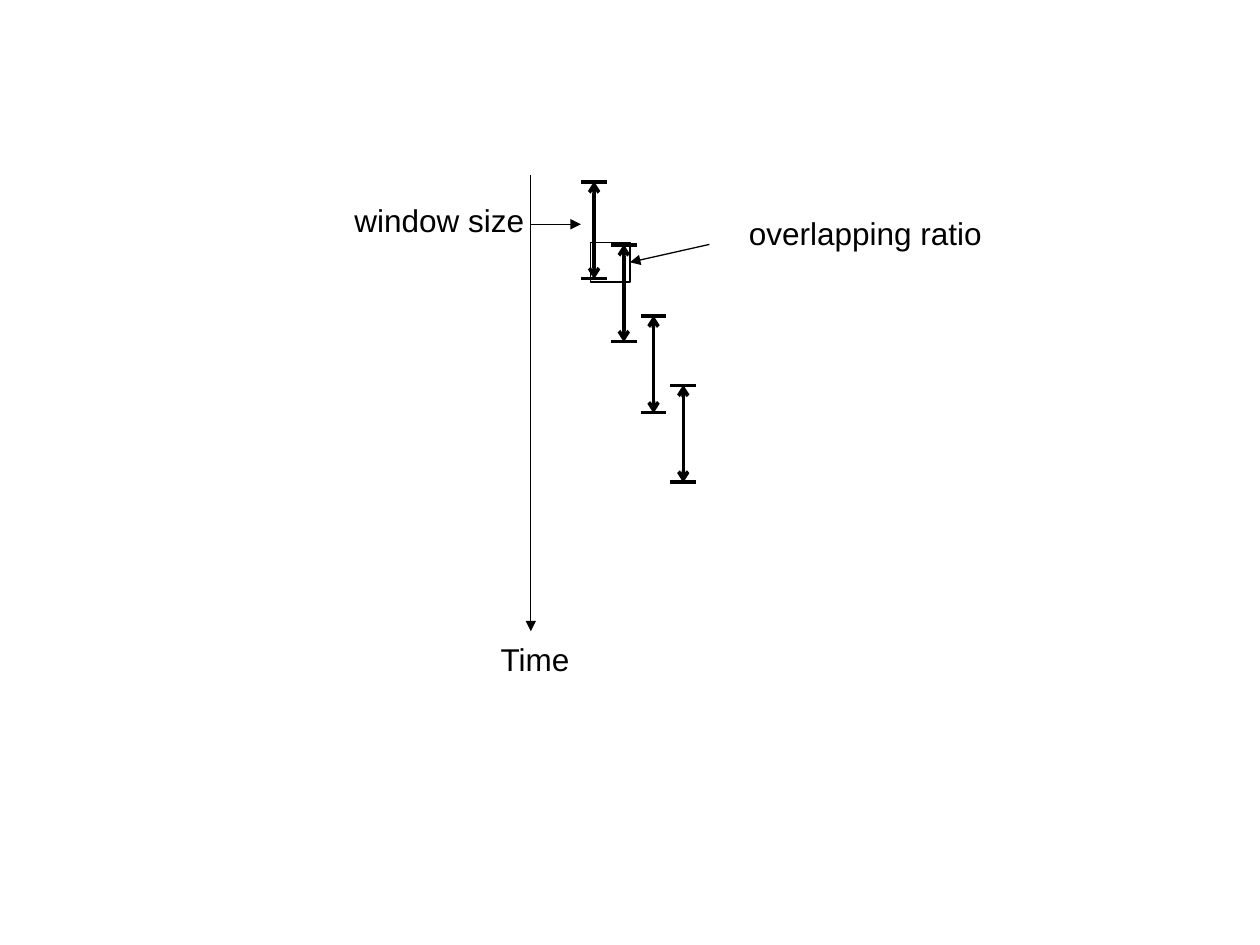
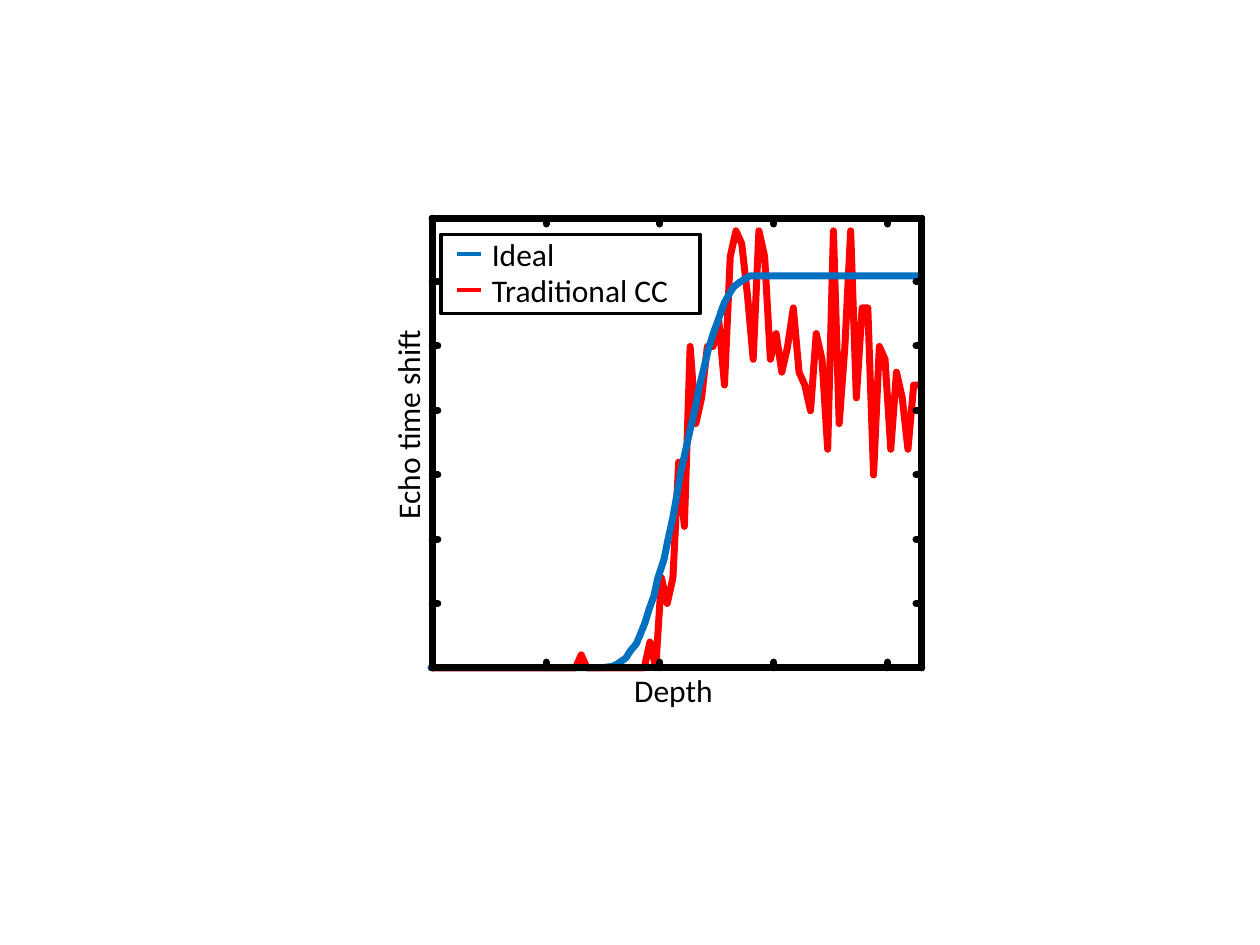
from dataclasses import dataclass

from lxml import etree
from pptx import Presentation
from pptx.dml.color import RGBColor
from pptx.enum.shapes import MSO_CONNECTOR, MSO_SHAPE
from pptx.enum.text import MSO_AUTO_SIZE
from pptx.oxml.ns import qn
from pptx.util import Inches, Pt

STRAIGHT = MSO_CONNECTOR.STRAIGHT
RECTANGLE = MSO_SHAPE.RECTANGLE
FIT_SHAPE = MSO_AUTO_SIZE.SHAPE_TO_FIT_TEXT
RIGHT_SIDE = 3

SLIDE_WIDTH, SLIDE_HEIGHT = Inches(10), Inches(7.5)
COLUMNS, ROWS = 100, 75


@dataclass(frozen=True)
class Theme:
    """Colours, fonts, type size and line widths of both slides."""
    ink: RGBColor = RGBColor(0, 0, 0)
    ideal: RGBColor = RGBColor(0x00, 0x70, 0xC0)
    traditional: RGBColor = RGBColor(0xFF, 0, 0)
    diagram_font: str = "Arial"
    plot_font: str = "Calibri"
    text_size: float = 18
    thin: float = 0.75
    medium: float = 2
    thick: float = 4


THEME = Theme()

WINDOW_TOPS = [14.4, 19.4, 25.05, 30.55]
WINDOW_LEFT, WINDOW_STEP, WINDOW_HEIGHT, CAP_HALF = 47.15, 2.36, 7.75, 1.02

PLOT_LEFT, PLOT_RIGHT, PLOT_TOP, PLOT_BOTTOM = 34.3, 73.15, 17.33, 53
DEPTH_TICK_STEP, SHIFT_TICK_STEP, TICK_LENGTH = 9.04, 5.11, 0.45
SAMPLE_STEP, SHIFT_LEVEL = 0.455, 1.02

TRADITIONAL_LEVELS = [0] * 26 + [1] + [0] * 11 + [
    2, 0, 7, 5, 7, 16, 11, 25, 19, 21, 25, 25, 27, 22, 32, 34,
    33, 29, 24, 34, 32, 24, 26, 23, 25, 28, 23, 22, 20, 26, 24, 17,
    34, 19, 25, 34, 21, 28, 28, 15, 25, 24, 17, 23, 21, 17, 22, 22]
IDEAL_RISE = [
    (34.2, 53), (47.7, 53), (48.6, 52.9), (49, 52.7), (49.3, 52.5),
    (49.7, 52.2), (50, 51.7), (50.5, 51.1), (50.8, 50.4), (51.2, 49.4),
    (51.5, 48.4), (51.9, 47.3), (52.2, 45.9), (52.7, 44.4), (53, 42.9),
    (53.4, 41.1), (53.7, 39.4), (54, 37.6), (54.4, 35.8), (54.8, 34),
    (55.2, 32.3), (55.5, 30.7), (55.9, 29.1), (56.2, 27.8), (56.6, 26.5),
    (57, 25.4), (57.4, 24.3)]
IDEAL_PLATEAU = [
    (57.2, 24.8), (57.5, 24), (57.9, 23.3), (58.2, 22.8), (58.7, 22.4),
    (59, 22.2), (59.5, 21.9), (73.1, 21.9)]


def col(count):
    """Return a horizontal length in grid columns."""
    return round(SLIDE_WIDTH * count / COLUMNS)


def row(count):
    """Return a vertical length in grid rows."""
    return round(SLIDE_HEIGHT * count / ROWS)


def style_line(shape, color, width, head=None, tail=None, cap="flat"):
    """Give an outline its colour, width, cap and arrowheads."""
    shape.line.color.rgb = color
    shape.line.width = Pt(width)
    outline = shape._element.spPr.find(qn("a:ln"))
    outline.set("cap", cap)
    if cap == "rnd":
        etree.SubElement(outline, qn("a:round"))
    for tag, kind in (("a:headEnd", head), ("a:tailEnd", tail)):
        if kind:
            etree.SubElement(outline, qn(tag), type=kind)


def add_line(shapes, start, end, color=THEME.ink, width=THEME.thin, **ends):
    """Draw a straight line between two grid points."""
    line = shapes.add_connector(STRAIGHT, col(start[0]), row(start[1]),
                                col(end[0]), row(end[1]))
    style_line(line, color, width, **ends)
    etree.SubElement(line._element.spPr, qn("a:effectLst"))
    return line


def add_frame(shapes, left, top, width, height, line_width):
    """Draw an unfilled rectangle."""
    frame = shapes.add_shape(RECTANGLE, col(left), row(top),
                             col(width), row(height))
    frame.shadow.inherit = False
    frame.fill.background()
    style_line(frame, THEME.ink, line_width)
    return frame


def add_curve(shapes, points, color):
    """Draw an open curve through grid points."""
    corners = [(col(x), row(y)) for x, y in points]
    builder = shapes.build_freeform(*corners[0])
    builder.add_line_segments(corners[1:], close=False)
    curve = builder.convert_to_shape()
    curve.shadow.inherit = False
    curve.fill.background()
    style_line(curve, color, THEME.thick, cap="rnd")


def add_label(shapes, text, left, top, width, font, rotation=0):
    """Place a one-line label."""
    label = shapes.add_textbox(col(left), row(top), col(width), row(4))
    label.rotation = rotation
    label.text_frame.word_wrap = False
    label.text_frame.auto_size = FIT_SHAPE
    run = label.text_frame.paragraphs[0].add_run()
    run.text = text
    run.font.name = font
    run.font.size = Pt(THEME.text_size)
    run.font.color.rgb = THEME.ink


def add_window(shapes, x, top):
    """Draw one time window as a capped double arrow."""
    window = shapes.add_group_shape().shapes
    bottom = top + WINDOW_HEIGHT
    add_line(window, (x, top), (x, bottom), width=THEME.medium,
             head="arrow", tail="arrow")
    for y in (top + 0.05, bottom - 0.05):
        add_line(window, (x - CAP_HALF, y), (x + CAP_HALF, y),
                 width=THEME.medium)


def add_axes(shapes):
    """Draw the plot box with ticks on all four sides."""
    depth_ticks = [PLOT_LEFT + DEPTH_TICK_STEP * i for i in range(5)]
    for x in depth_ticks + [PLOT_RIGHT]:
        for y, inward in ((PLOT_BOTTOM, -TICK_LENGTH), (PLOT_TOP, TICK_LENGTH)):
            add_line(shapes, (x, y), (x, y + inward), width=THEME.thick, cap="rnd")
    for y in [PLOT_BOTTOM - SHIFT_TICK_STEP * i for i in range(7)] + [PLOT_TOP]:
        for x, inward in ((PLOT_LEFT, TICK_LENGTH), (PLOT_RIGHT, -TICK_LENGTH)):
            add_line(shapes, (x, y), (x + inward, y), width=THEME.thick, cap="rnd")
    for y in (PLOT_TOP, PLOT_BOTTOM):
        add_line(shapes, (PLOT_LEFT, y), (PLOT_RIGHT, y),
                 width=THEME.thick, cap="rnd")
    for x in (PLOT_RIGHT, PLOT_LEFT):
        add_line(shapes, (x, PLOT_BOTTOM), (x, PLOT_TOP),
                 width=THEME.thick, cap="rnd")


def build_windows_slide(shapes):
    """Show overlapping windows along the time axis."""
    for index, top in enumerate(WINDOW_TOPS):
        add_window(shapes, WINDOW_LEFT + WINDOW_STEP * index, top)
    add_line(shapes, (42.13, 13.9), (42.13, 50.1), tail="triangle")
    add_label(shapes, "Time", 38.75, 50.3, 7.55, THEME.diagram_font)
    add_label(shapes, "window size", 27.15, 15.5, 15.55, THEME.diagram_font)
    add_line(shapes, (42.13, 17.8), (46.1, 17.8), tail="triangle")
    overlap = add_frame(shapes, 46.87, 19.25, 3.13, 3.13, THEME.thin)
    pointer = add_line(shapes, (56.3, 19.4), (50, 20.82), tail="triangle")
    pointer.end_connect(overlap, RIGHT_SIDE)
    add_label(shapes, "overlapping ratio", 58.45, 16.5, 20.55, THEME.diagram_font)


def build_shift_slide(shapes):
    """Plot ideal and traditional echo time shift over depth."""
    traditional = [(PLOT_LEFT + SAMPLE_STEP * i, PLOT_BOTTOM - SHIFT_LEVEL * level)
                   for i, level in enumerate(TRADITIONAL_LEVELS)]
    add_curve(shapes, traditional, THEME.traditional)
    for section in (IDEAL_RISE, IDEAL_PLATEAU):
        add_curve(shapes, section, THEME.ideal)
    add_axes(shapes)
    add_label(shapes, "Echo time shift", 23.75, 31.6, 17.2, THEME.plot_font, 270)
    add_label(shapes, "Depth", 49.35, 52.8, 8.3, THEME.plot_font)
    for name, top, width, color in (("Ideal", 18.15, 7.2, THEME.ideal),
                                    ("Traditional CC", 21, 16.3, THEME.traditional)):
        add_label(shapes, name, 38.05, top, width, THEME.plot_font)
        add_line(shapes, (36.3, top + 2), (38.2, top + 2), color, THEME.medium)
    add_frame(shapes, 35, 18.6, 20.55, 6.3, THEME.medium)


def main():
    """Build both slides and save them."""
    presentation = Presentation()
    presentation.slide_width, presentation.slide_height = SLIDE_WIDTH, SLIDE_HEIGHT
    blank = presentation.slide_layouts[6]
    for build in (build_windows_slide, build_shift_slide):
        build(presentation.slides.add_slide(blank).shapes)
    presentation.save("out.pptx")


if __name__ == "__main__":
    main()
